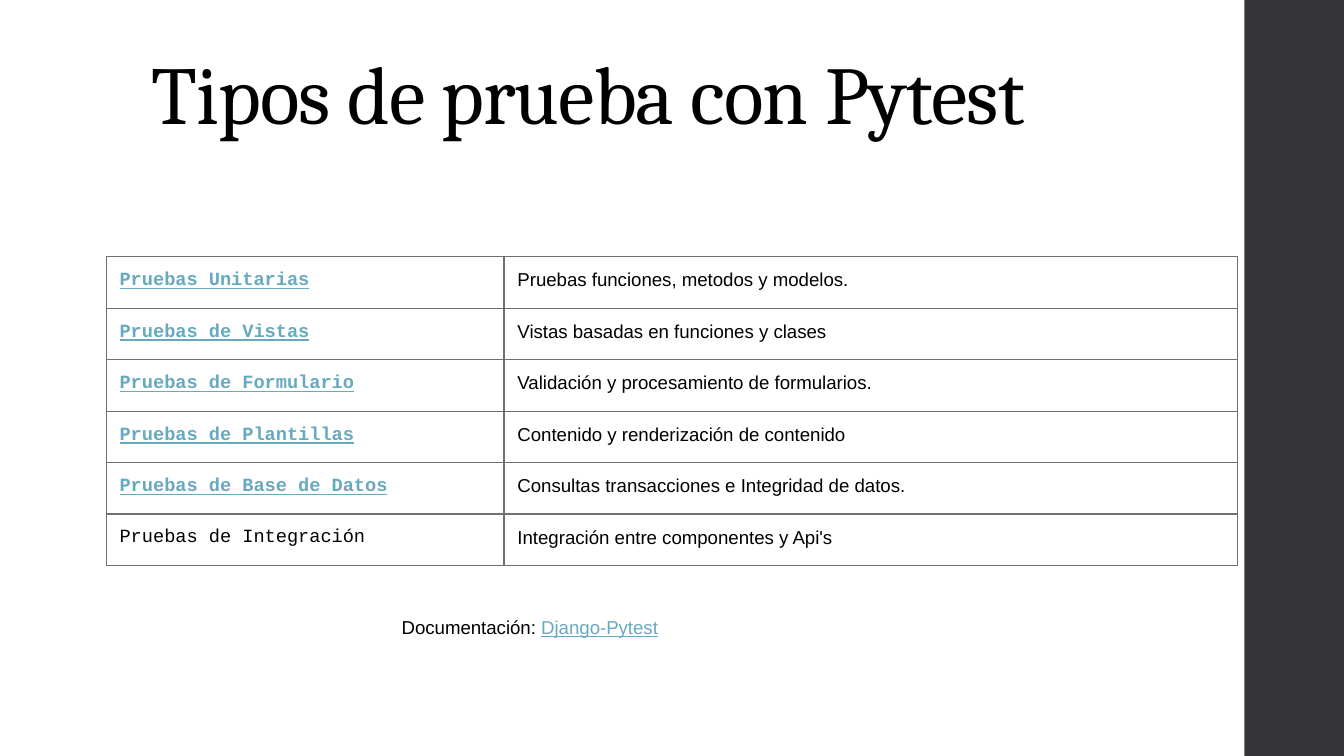
"""Builds a slide that lists the kinds of test available with Pytest."""
from lxml import etree
from pptx import Presentation
from pptx.dml.color import RGBColor
from pptx.enum.shapes import MSO_SHAPE
from pptx.enum.text import MSO_ANCHOR, PP_ALIGN
from pptx.oxml.ns import qn
from pptx.util import Inches, Pt

RECTANGLE = MSO_SHAPE.RECTANGLE
TOP = MSO_ANCHOR.TOP
LEFT = PP_ALIGN.LEFT

BLACK = RGBColor(0x00, 0x00, 0x00)
BLUE = RGBColor(0x67, 0xAA, 0xBF)
GRAY = RGBColor(0x6F, 0x6F, 0x74)
CHARCOAL = RGBColor(0x35, 0x35, 0x37)

SLIDE_WIDTH = 10
SLIDE_HEIGHT = SLIDE_WIDTH * 9 / 16

TESTS = [
    ("Pruebas Unitarias", "Pruebas funciones, metodos y modelos."),
    ("Pruebas de Vistas", "Vistas basadas en funciones y clases"),
    ("Pruebas de Formulario", "Validación y procesamiento de formularios."),
    ("Pruebas de Plantillas", "Contenido y renderización de contenido"),
    ("Pruebas de Base de Datos", "Consultas transacciones e Integridad de datos."),
    ("Pruebas de Integración", "Integración entre componentes y Api's"),
]


class SlideBuilder:
    """Holds the style and the current slide."""

    heading_font = "Cambria"
    body_font = "Arial"
    code_font = "Courier New"
    heading_size = Pt(44)
    body_size = Pt(10)
    margin = Inches(0.1)
    border_width = Pt(0.75)

    def __init__(self, deck):
        self.page = deck.slides.add_slide(deck.slide_layouts[5])

    def set_margins(self, holder):
        holder.margin_left = holder.margin_right = self.margin
        holder.margin_top = holder.margin_bottom = self.margin

    def format_span(self, span, font, size, color=BLACK, bold=False, underline=False):
        span.font.name = font
        span.font.size = size
        span.font.color.rgb = color
        span.font.bold = bold
        span.font.underline = underline

    def add_title(self, text, left, top, width, height):
        title = self.page.shapes.title
        title.left, title.top = Inches(left), Inches(top)
        title.width, title.height = Inches(width), Inches(height)
        frame = title.text_frame
        frame.text = text
        frame.vertical_anchor = TOP
        self.set_margins(frame)
        para = frame.paragraphs[0]
        para.alignment = LEFT
        para.line_spacing = 0.9
        span = para.runs[0]
        self.format_span(span, self.heading_font, self.heading_size)
        span.font._element.set("spc", "-50")

    def add_bar(self, left, top, width, height):
        bar = self.page.shapes.add_shape(
            RECTANGLE, Inches(left), Inches(top), Inches(width), Inches(height))
        bar.shadow.inherit = False
        bar.fill.solid()
        bar.fill.fore_color.rgb = CHARCOAL
        bar.line.fill.background()

    def add_borders(self, cell):
        properties = cell._tc.get_or_add_tcPr()
        for side in ("a:lnL", "a:lnR", "a:lnT", "a:lnB"):
            line = etree.SubElement(properties, qn(side), w=str(self.border_width))
            fill = etree.SubElement(line, qn("a:solidFill"))
            etree.SubElement(fill, qn("a:srgbClr"), val=str(GRAY))

    def fill_cell(self, cell, text, **style):
        cell.text_frame.text = text
        self.set_margins(cell)
        self.add_borders(cell)
        cell.fill.background()
        para = cell.text_frame.paragraphs[0]
        self.format_span(para.runs[0], size=self.body_size, **style)

    def add_test_table(self, tests, left, top, widths, height):
        table = self.page.shapes.add_table(
            len(tests), len(widths), Inches(left), Inches(top),
            Inches(sum(widths)), Inches(height)).table
        table.first_row = table.horz_banding = False
        for column, width in zip(table.columns, widths):
            column.width = Inches(width)
        for index, (name, purpose) in enumerate(tests):
            linked = index < len(tests) - 1
            self.fill_cell(table.cell(index, 0), name, font=self.code_font,
                           color=BLUE if linked else BLACK,
                           bold=linked, underline=linked)
            self.fill_cell(table.cell(index, 1), purpose, font=self.body_font)

    def add_reference(self, label, target, left, top, width, height):
        box = self.page.shapes.add_textbox(
            Inches(left), Inches(top), Inches(width), Inches(height))
        frame = box.text_frame
        frame.word_wrap = True
        self.set_margins(frame)
        para = frame.paragraphs[0]
        for text, color, underline in ((label, BLACK, False), (target, BLUE, True)):
            span = para.add_run()
            span.text = text
            self.format_span(span, self.body_font, self.body_size, color,
                             underline=underline)


def main():
    deck = Presentation()
    deck.slide_width, deck.slide_height = Inches(SLIDE_WIDTH), Inches(SLIDE_HEIGHT)
    builder = SlideBuilder(deck)
    builder.add_bar(9.26, 0, 0.74, SLIDE_HEIGHT)
    builder.add_title("Tipos de prueba con Pytest", 1.03, 0.3, 7.95, 1.09)
    builder.add_test_table(TESTS, 0.79, 1.91, (2.96, 5.46), 2.3)
    builder.add_reference("Documentación: ", "Django-Pytest", 2.89, 4.5, 3.83, 0.56)
    deck.save("out.pptx")


if __name__ == "__main__":
    main()
